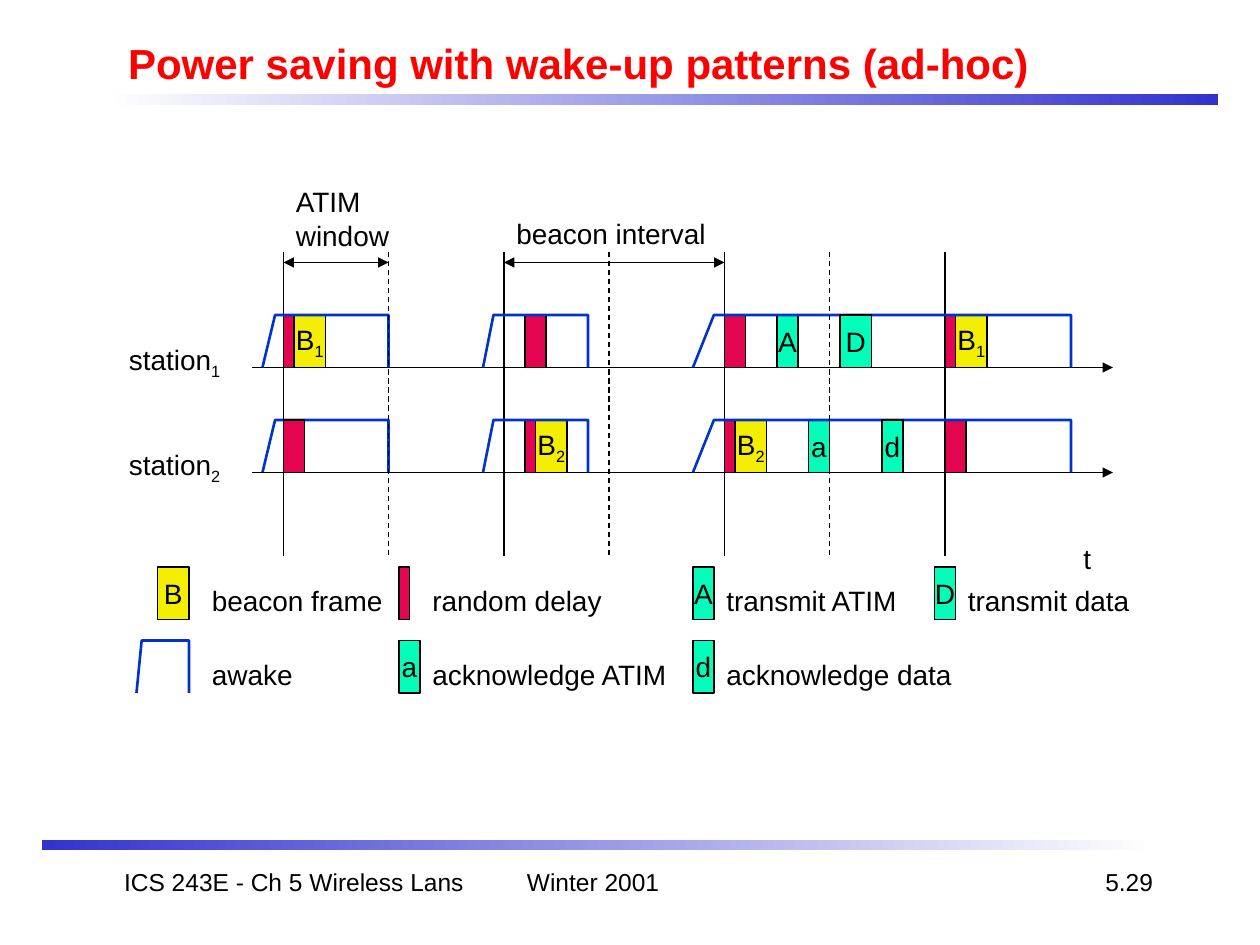
from dataclasses import dataclass

from lxml.etree import SubElement
from pptx import Presentation
from pptx.dml.color import RGBColor
from pptx.enum.dml import MSO_LINE_DASH_STYLE as Dash
from pptx.enum.shapes import MSO_CONNECTOR as Connector, MSO_SHAPE as Shape
from pptx.enum.text import MSO_ANCHOR as Anchor, MSO_AUTO_SIZE as AutoSize, PP_ALIGN as Align
from pptx.oxml.ns import qn
from pptx.util import Inches, Pt

COLUMNS, ROWS = 120, 90
BLACK, WHITE, RED, BAR_BLUE, WAKE_BLUE = "000000", "FFFFFF", "FF0000", "3333CC", "0033CC"
BEACON, DELAY, DATA = "F4EE00", "E3054F", "01FFBC"
STATION_1, STATION_2, KEY_1, KEY_2 = 30, 40, 54, 61
BLOCK_ROWS = 5
LINE_TOP, LINE_BOTTOM, ARROW_ROW = 24, 53, 25
BEACON_STARTS = (27, 48, 69, 90)
ATIM_COLUMNS = 10

deck = Presentation()
deck.slide_width, deck.slide_height = Inches(10), Inches(7.5)
CELL = deck.slide_width / COLUMNS
page = deck.slides.add_slide(deck.slide_layouts[5])


@dataclass
class Block:
    column: float
    row: float
    columns: float
    colour: str
    text: str = ""


@dataclass
class Wake:
    start: float
    shoulder: float
    end: float
    row: float


@dataclass
class Label:
    column: float
    row: float
    width: float
    text: str
    height: float = 0.37


def cells(count: float) -> int:
    return round(count * CELL)


def rgb(colour: str) -> RGBColor:
    return RGBColor.from_string(colour)


def write(frame, text: str, size: int = 16, align=Align.LEFT, colour: str = BLACK, bold: bool = False) -> None:
    for index, line in enumerate(text.split("\n")):
        para = frame.paragraphs[0] if index == 0 else frame.add_paragraph()
        base, _, subscript = line.partition("_")
        para.add_run().text = base
        if subscript:
            span = para.add_run()
            span.text = subscript
            span.font._element.set("baseline", "-25000")
        para.alignment = align
        para.font.name, para.font.size = "Arial", Pt(size)
        para.font.bold, para.font.color.rgb = bold, rgb(colour)


def draw_block(block: Block) -> None:
    box = page.shapes.add_shape(Shape.RECTANGLE, cells(block.column), cells(block.row),
                                cells(block.columns), cells(BLOCK_ROWS))
    box.shadow.inherit = False
    box.fill.solid()
    box.fill.fore_color.rgb = rgb(block.colour)
    box.line.color.rgb, box.line.width = rgb(BLACK), Pt(0.75)
    if block.text:
        box.text_frame.word_wrap = False
        box.text_frame.vertical_anchor = Anchor.MIDDLE
        write(box.text_frame, block.text, align=Align.CENTER)


def draw_wake(wake: Wake) -> None:
    top, bottom = cells(wake.row), cells(wake.row + BLOCK_ROWS)
    builder = page.shapes.build_freeform(cells(wake.start), bottom)
    builder.add_line_segments([(cells(wake.shoulder), top), (cells(wake.end), top),
                               (cells(wake.end), bottom)], close=False)
    outline = builder.convert_to_shape()
    outline.shadow.inherit = False
    outline.fill.background()
    outline.line.color.rgb, outline.line.width = rgb(WAKE_BLUE), Pt(1.5)


def draw_line(left: float, top: float, right: float, bottom: float,
              arrows: tuple[str, ...] = (), dashed: bool = False) -> None:
    line = page.shapes.add_connector(Connector.STRAIGHT, *map(cells, (left, top, right, bottom)))
    line.line.color.rgb, line.line.width = rgb(BLACK), Pt(0.75)
    if dashed:
        line.line.dash_style = Dash.DASH
    for end in arrows:
        SubElement(line.line._get_or_add_ln(), qn(f"a:{end}"), type="triangle")
    SubElement(line._element.spPr, qn("a:effectLst"))


def draw_label(label: Label) -> None:
    box = page.shapes.add_textbox(cells(label.column), cells(label.row),
                                  Inches(label.width), Inches(label.height))
    box.text_frame.word_wrap = False
    box.text_frame.auto_size = AutoSize.SHAPE_TO_FIT_TEXT
    write(box.text_frame, label.text)


def draw_footer(column: float, columns: float, text: str, align) -> None:
    box = page.shapes.add_textbox(cells(column), cells(82), cells(columns), cells(6))
    box.text_frame.word_wrap = True
    write(box.text_frame, text, 14, align)


def draw_bar(column: float, row: float, colours: tuple[str, str]) -> None:
    bar = page.shapes.add_shape(Shape.RECTANGLE, cells(column), cells(row), cells(106), cells(1))
    bar.shadow.inherit = False
    bar.line.fill.background()
    bar.fill.gradient()
    bar.fill.gradient_angle = 0
    for stop, colour in zip(bar.fill.gradient_stops, colours):
        stop.color.rgb = rgb(colour)


BEACONS = [
    Block(28, STATION_1, 3, BEACON, "B_1"), Block(91, STATION_1, 3, BEACON, "B_1"),
    Block(51, STATION_2, 3, BEACON, "B_2"), Block(70, STATION_2, 3, BEACON, "B_2"),
    Block(15, KEY_1, 3, BEACON, "B"),
]
DELAYS = [Block(column, row, columns, DELAY) for column, row, columns in (
    (27, STATION_1, 1), (50, STATION_1, 2), (69, STATION_1, 2), (90, STATION_1, 1),
    (27, STATION_2, 2), (50, STATION_2, 1), (69, STATION_2, 1), (90, STATION_2, 2),
    (38, KEY_1, 1),
)]
ATIM_FRAMES = [Block(74, STATION_1, 2, DATA, "A"), Block(77, STATION_2, 2, DATA, "a")]
DATA_FRAMES = [
    Block(80, STATION_1, 3, DATA, "D"), Block(84, STATION_2, 2, DATA, "d"),
    Block(66, KEY_1, 2, DATA, "A"), Block(89, KEY_1, 2, DATA, "D"),
    Block(38, KEY_2, 2, DATA, "a"), Block(66, KEY_2, 2, DATA, "d"),
]
BACK_WAKES = [Wake(25, 26.2, 37, STATION_2), Wake(13, 13.5, 18, KEY_2)]
SHORT_WAKES = [Wake(25, 26.2, 37, STATION_1), Wake(46, 47, 56, STATION_1), Wake(46, 47, 56, STATION_2)]
LONG_WAKES = [Wake(66, 68, 102, row) for row in (STATION_1, STATION_2)]
LABELS = [
    Label(27, 17, 0.98, "ATIM\nwindow", 0.64), Label(48, 20, 1.75, "beacon interval"),
    Label(11.1, 32, 1, "station_1", 0.41), Label(11.1, 42, 1, "station_2", 0.41),
    Label(102, 51, 0.3, "t"),
    Label(19, 55, 1.6, "beacon frame"), Label(40, 55, 1.6, "random delay"),
    Label(68, 55, 1.65, "transmit ATIM"), Label(91, 55, 1.55, "transmit data"),
    Label(19, 62, 0.9, "awake"), Label(40, 62, 2.15, "acknowledge ATIM"),
    Label(68, 62, 2.05, "acknowledge data"),
]

title = page.shapes.title
title.left, title.top, title.width, title.height = map(cells, (11, 3, 102, 6))
title.text_frame.vertical_anchor = Anchor.MIDDLE
write(title.text_frame, "Power saving with wake-up patterns (ad-hoc)", 24, colour=RED, bold=True)

draw_bar(10, 9, (WHITE, BAR_BLUE))
draw_bar(4, 80, (BAR_BLUE, WHITE))
draw_footer(9, 38, "ICS 243E - Ch 5 Wireless Lans", Align.CENTER)
draw_footer(49, 25, "Winter 2001", Align.LEFT)
draw_footer(86, 25, "5.29", Align.RIGHT)

for wake in BACK_WAKES:
    draw_wake(wake)
for station_row in (STATION_1, STATION_2):
    draw_line(24, station_row + BLOCK_ROWS, 106, station_row + BLOCK_ROWS, ("tailEnd",))
for block in BEACONS:
    draw_block(block)
for start in BEACON_STARTS:
    draw_line(start, LINE_TOP, start, LINE_BOTTOM)
for block in DELAYS:
    draw_block(block)
for wake in SHORT_WAKES:
    draw_wake(wake)
for block in ATIM_FRAMES:
    draw_block(block)
for wake in LONG_WAKES:
    draw_wake(wake)
for block in DATA_FRAMES:
    draw_block(block)
for left, right in ((27, 37), (48, 69)):
    draw_line(left, ARROW_ROW, right, ARROW_ROW, ("headEnd", "tailEnd"))
for start in BEACON_STARTS[:-1]:
    draw_line(start + ATIM_COLUMNS, LINE_TOP, start + ATIM_COLUMNS, LINE_BOTTOM, dashed=True)
for label in LABELS:
    draw_label(label)

deck.save("out.pptx")
